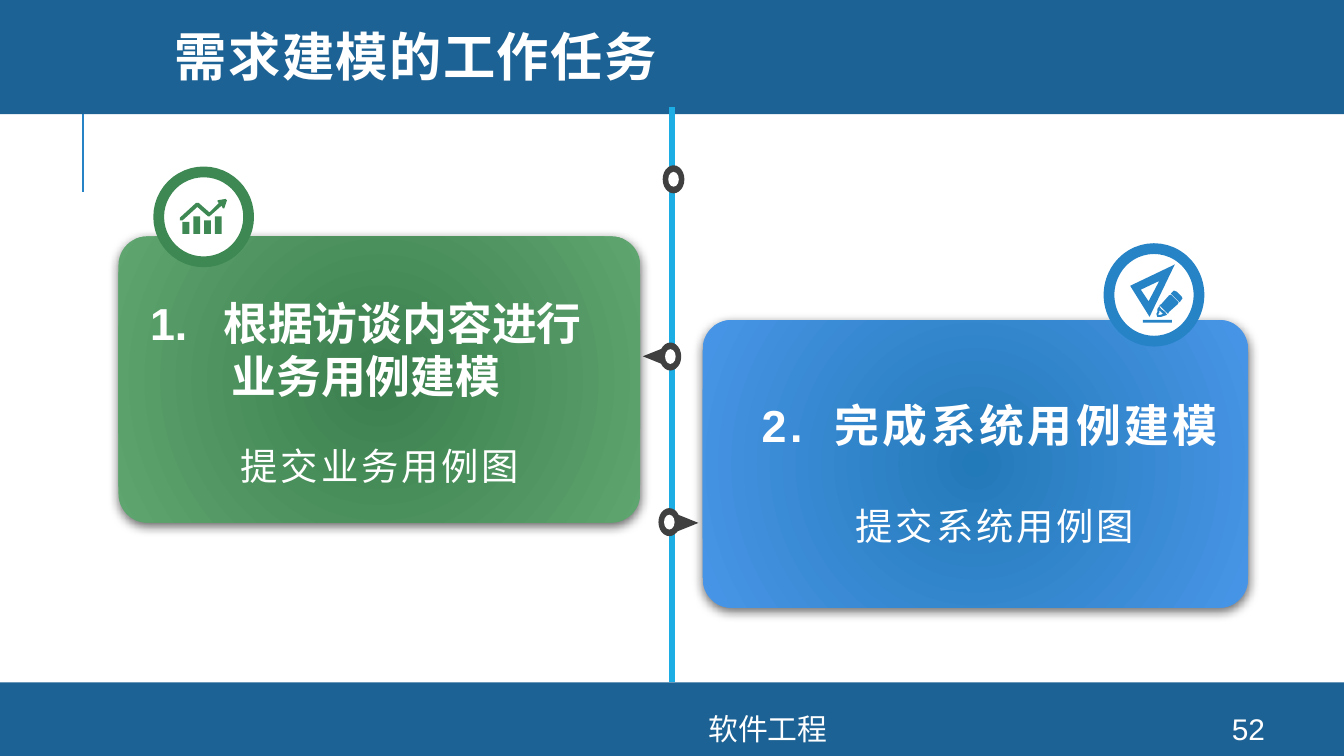
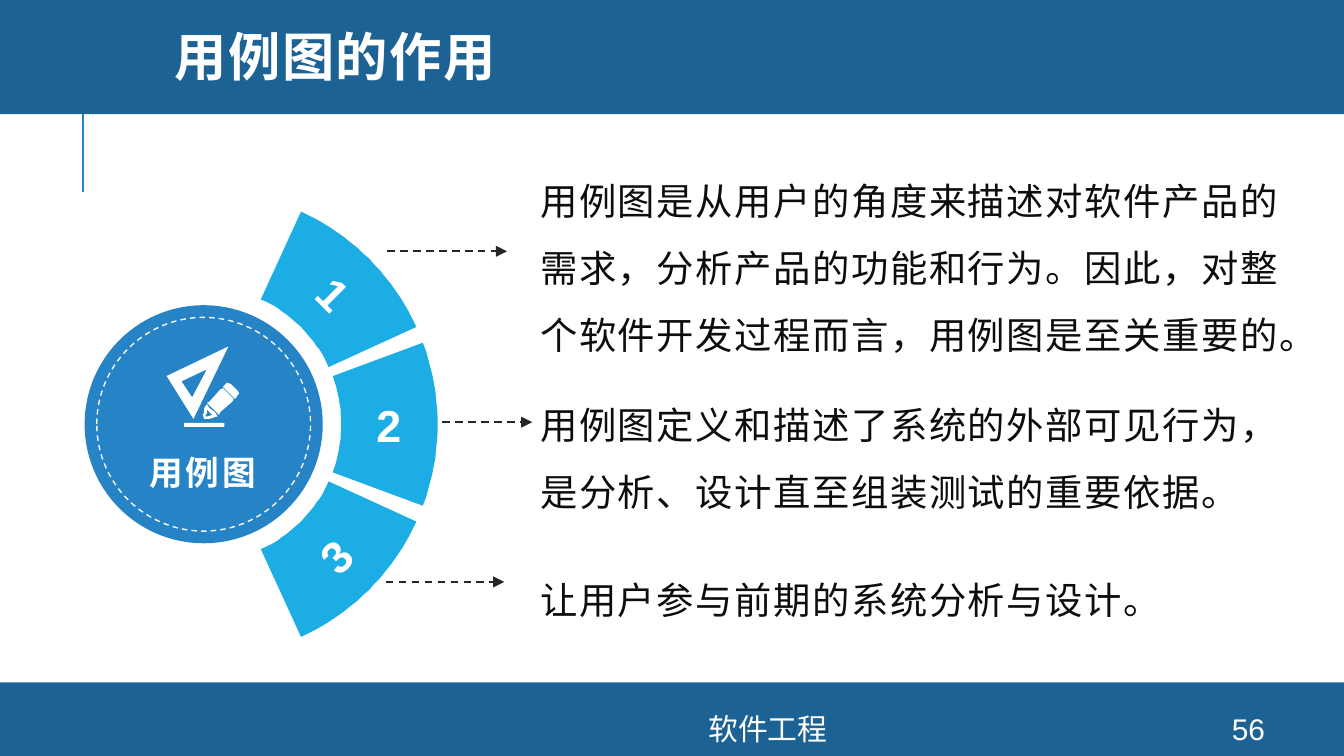
from dataclasses import dataclass, replace
from math import cos, radians, sin
from typing import NamedTuple

from lxml.etree import SubElement
from pptx import Presentation
from pptx.dml.color import RGBColor
from pptx.enum.dml import MSO_LINE
from pptx.enum.shapes import MSO_CONNECTOR, MSO_SHAPE
from pptx.enum.text import MSO_ANCHOR, MSO_AUTO_SIZE, PP_ALIGN
from pptx.oxml.ns import qn
from pptx.util import Cm, Pt


@dataclass(frozen=True)
class Theme:
    band: str = "1D6294"
    blue: str = "2683C6"
    cyan: str = "1CADE4"
    green: str = "3E8853"
    dark: str = "404040"
    arrow: str = "262626"
    ink: str = "0D0D0D"
    white: str = "FFFFFF"
    dashes: str = "F8F8F8"
    green_fade: tuple = ("3A7F4D", "5FA56F")
    blue_fade: tuple = ("237AB8", "4895E7")
    font: str = "Arial"
    title_font: str = "Montserrat"
    title: float = 28
    heading: float = 24
    body: float = 20
    label: float = 18
    footer: float = 16


THEME = Theme()


class Box(NamedTuple):
    """Left, top, width and height in centimetres."""
    left: float
    top: float
    width: float
    height: float

    def emu(self) -> list:
        return [Cm(length) for length in self]


def centred(x: float, y: float, width: float, height: float) -> Box:
    return Box(x - width / 2, y - height / 2, width, height)


@dataclass(frozen=True)
class Style:
    size: float
    color: str = THEME.white
    bold: bool = False
    font: str = THEME.font
    spacing: float = 0
    leading: object = None
    align: PP_ALIGN = PP_ALIGN.CENTER


TITLE = Style(THEME.title, bold=True, spacing=0.8, leading=0.8, align=PP_ALIGN.LEFT)
HEADING = Style(THEME.heading, bold=True)
TASK = Style(THEME.body, spacing=1.5, leading=1.5)
REASON = Style(THEME.body, THEME.ink, spacing=0.8, leading=1.5, align=PP_ALIGN.LEFT)
NUMBER = Style(THEME.heading, bold=True, spacing=2, leading=Pt(30))
HUB = Style(THEME.label, bold=True, spacing=1.7)
FOOTER = Style(THEME.footer)


@dataclass(frozen=True)
class Card:
    number: str
    heading: str
    task: str
    fade: tuple
    accent: str
    box: Box
    heading_box: Box
    task_box: Box
    badge: Box
    icon: list
    icon_box: tuple  # left, top, width
    gap: float  # extra space after the number, in points
    spacing: float


@dataclass(frozen=True)
class Reason:
    text: str
    box: Box
    arrow: tuple  # from x, to x, y
    angle: float


# Icon outlines, in hundredths of an inch from the icon's corner
SET_SQUARE = [
    [(13, 57), (43, 57), (43, 60), (13, 60)],
    [(11, 26), (30, 17), (19, 38)],
    [(46, 0), (0, 22), (20, 54)],
    [(53, 33), (48, 28), (45, 27), (42, 30), (51, 39), (54, 35)],
    [(27, 51), (28, 54), (32, 54), (38, 52), (36, 49), (32, 46), (30, 43), (28, 46), (28, 49)],
    [(29, 51), (30, 50), (30, 47), (32, 49), (34, 51), (31, 52), (29, 52)],
    [(43, 32), (42, 31), (40, 32), (32, 41), (30, 42), (32, 44), (39, 51), (40, 49),
     (49, 41), (50, 39)],
]
GROWTH = [[(x, top), (x + 5, top), (x + 5, 26), (x, 26)]
          for x, top in zip(range(2, 27, 8), (17, 13, 16, 13))]
GROWTH.append([(34, 0), (28, 1), (28, 2), (29, 3), (22, 10), (14, 3), (12, 3), (0, 14), (0, 16),
               (2, 16), (13, 6), (21, 13), (22, 13), (31, 5), (32, 7), (33, 7), (35, 1)])

CARDS = [
    Card("1.", "根据访谈内容进行业务用例建模", "提交业务用例图", THEME.green_fade, THEME.green,
         Box(2.24, 4.47, 9.86, 5.41), Box(2.51, 5.46, 8.81, 2.31), Box(3.68, 7.82, 7.01, 1.55),
         Box(3, 3.25, 1.7, 1.7), GROWTH, (3.4, 3.76, 0.89), 12.6, 0),
    Card("2.", "完成系统用例建模", "提交系统用例图", THEME.blue_fade, THEME.blue,
         Box(13.28, 6.05, 10.31, 5.44), Box(13.79, 7.39, 9.83, 1.27), Box(15.39, 8.97, 6.83, 1.55),
         Box(20.96, 4.7, 1.7, 1.75), SET_SQUARE, (21.36, 5, 0.99), 8.6, 1.9),
]
PINS = [(12.73, 3.39), (12.67, 6.74), (12.65, 9.87)]
POINTERS = [(Box(12.19, 6.53, 0.33, 0.41), 270), (Box(12.83, 9.68, 0.33, 0.41), 90)]

REASONS = [
    Reason("用例图是从用户的角度来描述对软件产品的需求，分析产品的功能和行为。因此，对整个软件开发过程而言，"
           "用例图是至关重要的。", Box(9.96, 2.82, 14.66, 3.96), (7.32, 9.58, 4.75), -45),
    Reason("用例图定义和描述了系统的外部可见行为，是分析、设计直至组装测试的重要依据。",
           Box(9.96, 7.06, 14.66, 2.67), (8.36, 10.06, 7.98), 0),
    Reason("让用户参与前期的系统分析与设计。",
           Box(9.96, 10.36, 14.66, 1.55), (7.29, 9.53, 11), 45),
]
HUB_CENTRE = (3.85, 8.02)
INNER_RADIUS, OUTER_RADIUS, NUMBER_RADIUS = 2.6, 4.42, 3.5
HALF_SWEEP = 20.4


def rgb(color: str) -> RGBColor:
    return RGBColor.from_string(color)


def write(frame, runs: list, style: Style) -> None:
    """Fill one paragraph with (text, letter spacing) runs."""
    paragraph = frame.paragraphs[0]
    paragraph.alignment = style.align
    if style.leading:
        paragraph.line_spacing = style.leading
    for text, spacing in runs:
        run = paragraph.add_run()
        run.text = text
        values = {"name": style.font, "size": Pt(style.size), "bold": style.bold}
        for key, value in values.items():
            setattr(run.font, key, value)
        run.font.color.rgb = rgb(style.color)
        if spacing:
            run.font._element.set("spc", str(round(spacing * 100)))


def add_text(slide, box: Box, text, style: Style, rotation: float = 0, wrap: bool = True,
             anchor=MSO_ANCHOR.TOP, fit=MSO_AUTO_SIZE.SHAPE_TO_FIT_TEXT) -> None:
    holder = slide.shapes.add_textbox(*box.emu())
    holder.rotation = rotation
    values = {"word_wrap": wrap, "vertical_anchor": anchor, "auto_size": fit}
    for key, value in values.items():
        setattr(holder.text_frame, key, value)
    runs = [(text, style.spacing)] if isinstance(text, str) else text
    write(holder.text_frame, runs, style)


def paint(shape, fill: str | None, line: str | None = None, width: float = 0.75):
    shape.shadow.inherit = False
    if fill:
        shape.fill.solid()
        shape.fill.fore_color.rgb = rgb(fill)
    else:
        shape.fill.background()
    if line:
        shape.line.color.rgb = rgb(line)
        shape.line.width = Pt(width)
    else:
        shape.line.fill.background()
    return shape


def add_shape(slide, kind, box: Box, fill: str | None, line: str | None = None,
              width: float = 0.75):
    return paint(slide.shapes.add_shape(kind, *box.emu()), fill, line, width)


def add_outline(slide, contours: list, left: float, top: float, scale: float, fill: str):
    """Draw closed contours as one freeform; scale is EMU per unit."""
    first, *others = contours
    builder = slide.shapes.build_freeform(*first[0], scale=scale)
    builder.add_line_segments(first[1:], close=True)
    for contour in others:
        builder.move_to(*contour[0])
        builder.add_line_segments(contour[1:], close=True)
    return paint(builder.convert_to_shape(Cm(left), Cm(top)), fill)


def add_icon(slide, contours: list, place: tuple, fill: str) -> None:
    left, top, width = place
    units = max(x for contour in contours for x, _ in contour)
    add_outline(slide, contours, left, top, Cm(width) / units, fill)


def add_line(slide, start: tuple, end: tuple, color: str, width: float, arrow: bool = False):
    ends = [Cm(length) for length in (*start, *end)]
    line = slide.shapes.add_connector(MSO_CONNECTOR.STRAIGHT, *ends)
    line.line.color.rgb = rgb(color)
    line.line.width = Pt(width)
    if arrow:
        line.line.dash_style = MSO_LINE.DASH
        SubElement(line.line._get_or_add_ln(), qn("a:tailEnd"), type="triangle")
    SubElement(line._element.spPr, qn("a:effectLst"))
    return line


def add_fade(shape, fade: tuple) -> None:
    """Radial gradient and a soft shadow below."""
    shape.fill.gradient()
    for stop, color in zip(shape.fill.gradient_stops, fade):
        stop.color.rgb = rgb(color)
    gradient = shape._element.spPr.find(qn("a:gradFill"))
    gradient.remove(gradient.find(qn("a:lin")))
    path = SubElement(gradient, qn("a:path"), path="circle")
    SubElement(path, qn("a:fillToRect"), {side: "100000" for side in "ltrb"})
    effects = shape._element.spPr.find(qn("a:effectLst"))
    shadow = SubElement(effects, qn("a:outerShdw"), blurRad=str(Pt(6)), dist=str(Pt(2)),
                        dir="5400000", algn="t", rotWithShape="0")
    black = SubElement(shadow, qn("a:srgbClr"), val="000000")
    SubElement(black, qn("a:alpha"), val="60000")


def new_slide(deck, heading: str, page: str, title_font: str):
    """Bands, title and footer; returns the slide and its bottom band."""
    slide = deck.slides.add_slide(deck.slide_layouts[5])
    add_line(slide, (1.57, 3.63), (1.57, 1.73), THEME.blue, 1.5)
    bottom_band = add_shape(slide, MSO_SHAPE.RECTANGLE, Box(0, 12.9, 25.4, 1.39), THEME.band)
    add_shape(slide, MSO_SHAPE.RECTANGLE, Box(0, 0, 25.4, 2.16), THEME.band)
    title = slide.shapes.title
    title._element.getparent().append(title._element)  # in front of the band
    for side, length in zip(("left", "top", "width", "height"), Box(3.05, 0, 21.56, 2.31).emu()):
        setattr(title, side, length)
    title.text_frame.vertical_anchor = MSO_ANCHOR.MIDDLE
    write(title.text_frame, [(heading, TITLE.spacing)], replace(TITLE, font=title_font))
    for text, left, width in (("软件工程", 6.63, 15.77), (page, 22.58, 2.03)):
        add_text(slide, Box(left, 13.49, width, 0.58), text, FOOTER,
                 anchor=MSO_ANCHOR.MIDDLE, fit=MSO_AUTO_SIZE.NONE)
    return slide, bottom_band


def build_tasks(deck) -> None:
    slide, bottom_band = new_slide(deck, "需求建模的工作任务", "52", THEME.title_font)
    # Timeline
    spine = add_line(slide, (12.7, 2.03), (12.7, 12.9), THEME.cyan, 3)
    spine.end_connect(bottom_band, 0)
    for box, rotation in POINTERS:
        add_shape(slide, MSO_SHAPE.ISOSCELES_TRIANGLE, box, THEME.dark).rotation = rotation
    for x, y in PINS:
        add_shape(slide, MSO_SHAPE.OVAL, centred(x, y, 0.41, 0.53), THEME.dark)
        add_shape(slide, MSO_SHAPE.OVAL, centred(x, y, 0.2, 0.28), THEME.white)
    # Cards
    for card in CARDS:
        panel = add_shape(slide, MSO_SHAPE.ROUNDED_RECTANGLE, card.box, card.accent)
        panel.adjustments[0] = 0.1
        add_fade(panel, card.fade)
        add_shape(slide, MSO_SHAPE.OVAL, card.badge, THEME.white, card.accent, 5.75)
        add_icon(slide, card.icon, card.icon_box, card.accent)
        add_text(slide, card.heading_box, [(card.number, card.spacing), (" ", card.gap),
                                           (card.heading, card.spacing)], HEADING)
        add_text(slide, card.task_box, card.task, TASK)


def sector(middle: float) -> list:
    """Ring sector around the hub, in hundredths of a centimetre."""
    angles = [radians(middle + HALF_SWEEP * step / 10) for step in range(-10, 11)]
    outer = [(OUTER_RADIUS, angle) for angle in angles]
    inner = [(INNER_RADIUS, angle) for angle in reversed(angles)]
    return [(round(100 * radius * cos(angle)), round(100 * radius * sin(angle)))
            for radius, angle in outer + inner]


def build_roles(deck) -> None:
    slide, _ = new_slide(deck, "用例图的作用", "56", THEME.font)
    x, y = HUB_CENTRE
    # Numbered sectors, arrows and reasons
    for number, reason in enumerate(REASONS, start=1):
        start, end, level = reason.arrow
        add_line(slide, (start, level), (end, level), THEME.arrow, 1, arrow=True)
        add_outline(slide, [sector(reason.angle)], x, y, Cm(0.01), THEME.cyan)
        turn = radians(reason.angle)
        label = centred(x + NUMBER_RADIUS * cos(turn), y + NUMBER_RADIUS * sin(turn), 1.9, 1.32)
        add_text(slide, label, str(number), NUMBER, rotation=-reason.angle)
        add_text(slide, reason.box, reason.text, REASON)
    # Hub
    add_shape(slide, MSO_SHAPE.OVAL, centred(x, y, 4.5, 4.5), THEME.blue)
    ring = add_shape(slide, MSO_SHAPE.OVAL, centred(x, y, 4.04, 4.04), None, THEME.dashes)
    ring.line.dash_style = MSO_LINE.DASH
    add_icon(slide, SET_SQUARE, (3.15, 6.55, 1.37), THEME.white)
    add_text(slide, Box(2.51, 8.41, 2.64, 1.02), "用例图", HUB, wrap=False)


def main() -> None:
    deck = Presentation()
    deck.slide_width, deck.slide_height = Cm(25.4), Cm(14.29)
    build_tasks(deck)
    build_roles(deck)
    deck.save("out.pptx")


if __name__ == "__main__":
    main()
